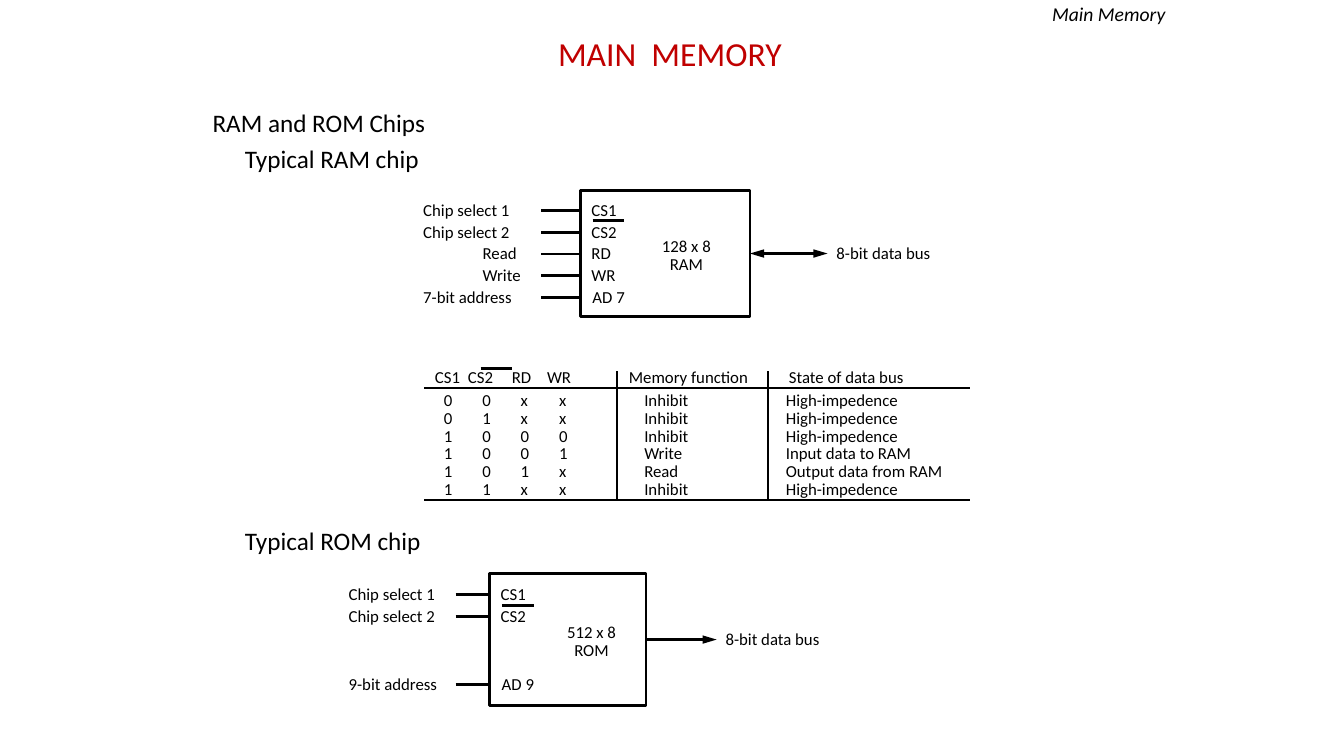
from collections import namedtuple
from dataclasses import dataclass

from lxml import etree
from pptx import Presentation
from pptx.dml.color import RGBColor
from pptx.enum.shapes import MSO_CONNECTOR, MSO_SHAPE
from pptx.enum.text import MSO_ANCHOR, MSO_AUTO_SIZE, PP_ALIGN
from pptx.oxml.ns import qn
from pptx.util import Pt

STRAIGHT = MSO_CONNECTOR.STRAIGHT
RECTANGLE = MSO_SHAPE.RECTANGLE
MIDDLE, BOTTOM = MSO_ANCHOR.MIDDLE, MSO_ANCHOR.BOTTOM
GROW = MSO_AUTO_SIZE.SHAPE_TO_FIT_TEXT
LEFT, CENTER, RIGHT = PP_ALIGN.LEFT, PP_ALIGN.CENTER, PP_ALIGN.RIGHT
RIGHT_SIDE = 3
NO_STYLE_NO_GRID = "{2D5ABB26-0587-4C30-8999-92F81FD0307C}"


@dataclass(frozen=True)
class Theme:
    font: str = "Calibri"
    ink: RGBColor = RGBColor(0, 0, 0)
    title_color: RGBColor = RGBColor(0xC0, 0, 0)
    title: int = 24
    heading: int = 18
    corner: int = 14
    label: int = 12
    stroke: int = 2
    spacing: float = 0.9
    row_spacing: int = 12


Pin = namedtuple("Pin", "signal signal_left name y")
Column = namedtuple("Column", "width head head_inset values inset")

RAM_WIRES = [150.6 + 15.45 * i for i in range(5)]
RAM_PINS = [
    Pin("Chip select 1", 295.2, "CS1", RAM_WIRES[0]),
    Pin("Chip select 2", 295.2, "CS2", RAM_WIRES[1]),
    Pin("Read", 337.7, "RD", RAM_WIRES[2]),
    Pin("Write", 337.7, "WR", RAM_WIRES[3]),
    Pin("7-bit address", 295.2, "AD 7", RAM_WIRES[4]),
]
ROM_PINS = [
    Pin("Chip select 1", 241.9, "CS1", 424.8),
    Pin("Chip select 2", 241.9, "CS2", 440.6),
    Pin("9-bit address", 241.9, "AD 9", 488.9),
]
RAM_FUNCTIONS = [
    Column(30.5, "CS1", 7.6, "001111", 14),
    Column(27.4, "CS2", 0.7, "010001", 11),
    Column(27.4, "RD", 4.7, "xx001x", 11),
    Column(52.2, "WR", 2.4, "xx01xx", 11),
    Column(108, "Memory function", 8.7,
           ["Inhibit", "Inhibit", "Inhibit", "Write", "Read", "Inhibit"], 19.7),
    Column(144, "State of data bus", 15,
           ["High-impedence", "High-impedence", "High-impedence",
            "Input data to RAM", "Output data from RAM", "High-impedence"], 12.8),
]
RULED_COLUMNS = (3, 4)


class MemorySlide:
    def __init__(self, slide, theme):
        self.slide, self.shapes, self.theme = slide, slide.shapes, theme

    def format_text(self, frame, size, color=None, align=LEFT, spacing=None, italic=False):
        for paragraph in frame.paragraphs:
            paragraph.alignment = align
            paragraph.line_spacing = spacing or self.theme.spacing
            for run in paragraph.runs:
                run.font.name = self.theme.font
                run.font.size = Pt(size)
                run.font.italic = italic
                run.font.color.rgb = color or self.theme.ink

    def title(self, text, left, top, width, height):
        title = self.shapes.title
        title.left, title.top = Pt(left), Pt(top)
        title.width, title.height = Pt(width), Pt(height)
        title.text_frame.text = text
        title.text_frame.vertical_anchor = MIDDLE
        self.format_text(title.text_frame, self.theme.title,
                         self.theme.title_color, CENTER)

    def text(self, text, left, top, width, height=20, size=None, inset=(7.2, 3.6), **style):
        box = self.shapes.add_textbox(Pt(left), Pt(top), Pt(width), Pt(height))
        frame = box.text_frame
        frame.word_wrap = False
        frame.auto_size = GROW
        frame.margin_left = frame.margin_right = Pt(inset[0])
        frame.margin_top = frame.margin_bottom = Pt(inset[1])
        frame.text = text
        self.format_text(frame, size or self.theme.label, **style)

    def heading(self, text, left, top, width):
        self.text(text, left, top, width, 25, self.theme.heading, (5, 2.2), spacing=1.0)

    def line(self, x1, y1, x2, y2, arrows=()):
        """Draw a line; arrows may name headEnd (start) and tailEnd (end)."""
        line = self.shapes.add_connector(STRAIGHT, Pt(x1), Pt(y1), Pt(x2), Pt(y2))
        line.line.color.rgb = self.theme.ink
        line.line.width = Pt(self.theme.stroke)
        properties = line._element.spPr
        for end in arrows:
            etree.SubElement(properties.find(qn("a:ln")), qn("a:" + end),
                             type="triangle", w="med", len="lg")
        etree.SubElement(properties, qn("a:effectLst"))
        return line

    def rectangle(self, left, top, width, height):
        box = self.shapes.add_shape(RECTANGLE, Pt(left), Pt(top), Pt(width), Pt(height))
        box.shadow.inherit = False
        box.fill.background()
        box.line.color.rgb = self.theme.ink
        box.line.width = Pt(self.theme.stroke)
        return box

    def chip(self, name, left, top, width, height, pins, wire_left, name_left,
             bus_end, bus_arrows):
        """Draw a memory chip with its input pins and its data bus."""
        middle = top + height / 2
        for pin in pins:
            self.text(pin.signal, pin.signal_left, pin.y - 9.7, 82)
            self.line(wire_left, pin.y, left, pin.y)
            nudge = 1.4 if pin.name.startswith("AD") else 0.7
            self.text(pin.name, left + nudge, pin.y - 9.7, 46)
            if pin.name == "CS2":
                self.line(left + 8.6, pin.y - 8.3, left + 31.2, pin.y - 8.3)
        self.text(name, name_left, middle - 14.8, 54, 33, align=CENTER)
        body = self.rectangle(left, top, width, height)
        bus = self.line(left + width, middle, bus_end, middle, bus_arrows)
        bus.begin_connect(body, RIGHT_SIDE)
        self.text("8-bit data bus", bus_end - 0.7, middle - 9.6, 86)

    def border(self, cell, side):
        line = etree.SubElement(cell._tc.get_or_add_tcPr(), qn("a:" + side),
                                w=str(Pt(self.theme.stroke)))
        fill = etree.SubElement(line, qn("a:solidFill"))
        etree.SubElement(fill, qn("a:srgbClr"), val=str(self.theme.ink))

    def table(self, columns, left, top, heights):
        width = sum(column.width for column in columns)
        table = self.shapes.add_table(len(heights), len(columns), Pt(left), Pt(top),
                                      Pt(width), Pt(sum(heights))).table
        table.first_row = table.horz_banding = False
        table._tbl.tblPr.find(qn("a:tableStyleId")).text = NO_STYLE_NO_GRID
        for row, height in zip(table.rows, heights):
            row.height = Pt(height)
        for c, column in enumerate(columns):
            table.columns[c].width = Pt(column.width)
            for r, value in enumerate([column.head, *column.values]):
                cell = table.cell(r, c)
                cell.text_frame.text = value
                cell.margin_left = Pt(column.inset if r else column.head_inset)
                cell.margin_right = cell.margin_top = cell.margin_bottom = 0
                cell.vertical_anchor = BOTTOM
                if c in RULED_COLUMNS:
                    self.border(cell, "lnR")
                if r in (0, len(heights) - 1):
                    self.border(cell, "lnB")
                cell.fill.background()
                self.format_text(cell.text_frame, self.theme.label,
                                 spacing=Pt(self.theme.row_spacing))


def main():
    presentation = Presentation()
    presentation.slide_width, presentation.slide_height = Pt(960), Pt(540)
    title_only = presentation.slide_layouts[5]
    theme = Theme()
    page = MemorySlide(presentation.slides.add_slide(title_only), theme)

    page.title("MAIN  MEMORY", 173.5, 21.6, 610, 36)
    page.text("Main Memory", 743.8, 0, 95.8, 22.3, theme.corner, align=RIGHT, italic=True)
    page.heading("RAM and ROM Chips", 146.9, 74.2, 163.4)
    page.heading("Typical RAM chip", 169.9, 100.1, 136)
    page.heading("Typical ROM chip", 169.9, 373, 136.8)

    page.chip("128 x 8\nRAM", 414.7, 136.1, 121, 90, RAM_PINS, 386.6, 463.3,
              591.1, ("headEnd", "tailEnd"))
    page.table(RAM_FUNCTIONS, 303.1, 265, [12.2, 16.4] + [12.7] * 5)
    page.line(343.4, 263.5, 365.8, 263.5)
    page.chip("512 x 8\nROM", 349.9, 409.7, 111.6, 94.3, ROM_PINS, 325.4, 395.5,
              511.9, ("tailEnd",))
    presentation.save("out.pptx")


if __name__ == "__main__":
    main()
